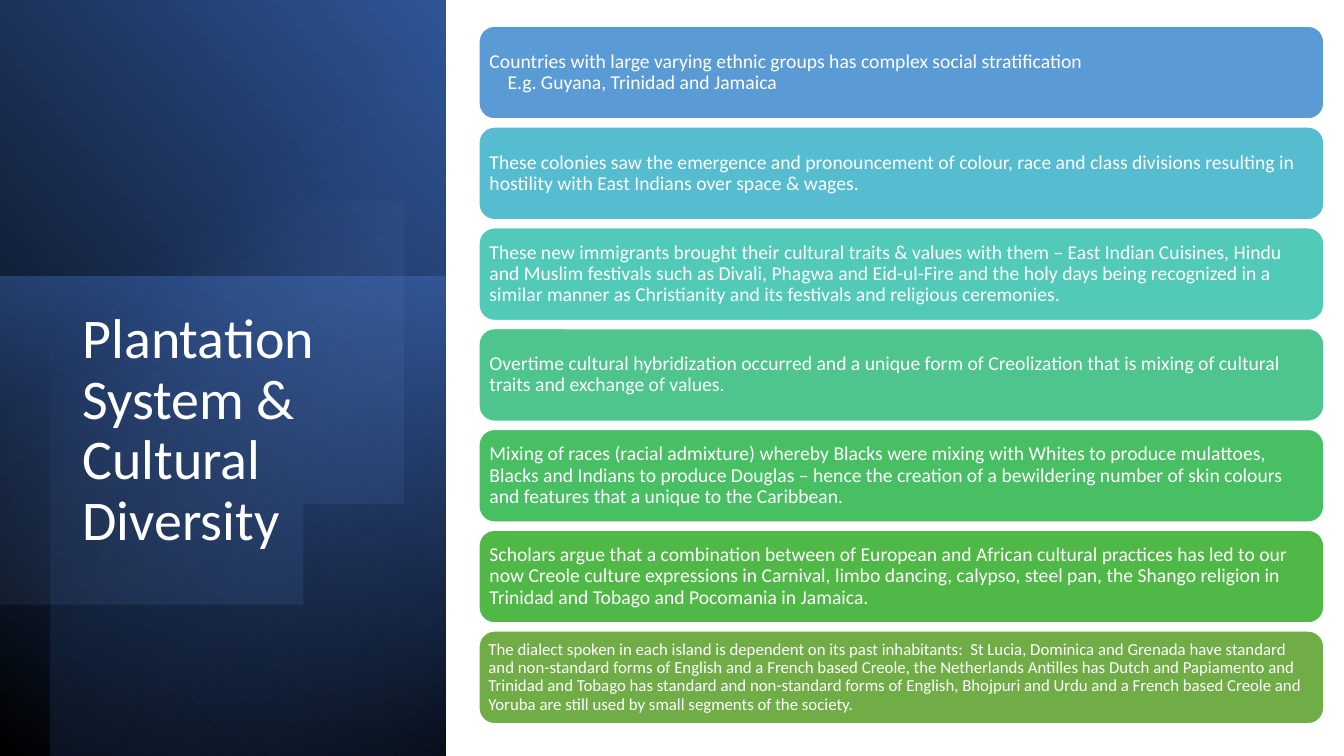
from math import cos, radians, sin

from lxml.etree import SubElement
from pptx import Presentation
from pptx.dml.color import RGBColor
from pptx.enum.shapes import MSO_SHAPE as SHAPE
from pptx.enum.text import MSO_ANCHOR as ANCHOR, PP_ALIGN as ALIGN
from pptx.oxml.ns import qn
from pptx.util import Inches, Pt

FONT = "Calibri"
WHITE = "FFFFFF"


def color(hex_value):
    return RGBColor.from_string(hex_value)


def fade(sp, stops, angle):
    """Fill with a two-stop gradient of (position %, colour, opacity %), no line."""
    sp.shadow.inherit = False
    sp.line.fill.background()
    sp.fill.gradient()
    sp.fill.gradient_angle = 360 - angle
    for stop, (position, hex_value, _) in zip(sp.fill.gradient_stops, stops):
        stop.position = position / 100
        stop.color.rgb = color(hex_value)
    for clr, (_, _, opacity) in zip(sp.fill._xPr.iter(qn("a:srgbClr")), stops):
        if opacity < 100:
            SubElement(clr, qn("a:alpha")).set("val", str(opacity * 1000))


prs = Presentation()
prs.slide_width, prs.slide_height = Inches(13.33), Inches(7.5)
s = prs.slides.add_slide(prs.slide_layouts[6])

# Left panel: box, rotation, flip, gradient stops, gradient angle
panels = [
    ((-1.55, 1.55, 7.52, 4.42), 90, True,
     [(0, "000000", 100), (100, "2F5597", 100)], 310),
    ((-0.17, 2.91, 4.76, 4.42), 270, False,
     [(0, "4472C4", 50), (100, "203864", 0)], 190),
    ((-1.29, 1.79, 7.5, 3.92), 270, True,
     [(0, "000000", 59), (69, "4472C4", 0)], 220),
]
for box, rotation, flipped, stops, angle in panels:
    sp = s.shapes.add_shape(SHAPE.RECTANGLE, *map(Inches, box))
    sp.rotation = rotation
    if flipped:
        sp._element.spPr.find(qn("a:xfrm")).set("flipH", "1")
    fade(sp, stops, angle)

# Disc cut off by the slide's left edge
cx, cy, radius = 1.43, 3.47, 2.63
arc = [(cx + radius * cos(radians(a)), cy + radius * sin(radians(a)))
       for a in range(-122, 123, 2)]
builder = s.shapes.build_freeform(0, 1.26, scale=Inches(1))
builder.add_line_segments(arc + [(0, 5.68)], close=True)
fade(builder.convert_to_shape(), [(39, "8FAADC", 0), (100, "2F5597", 26)], 52)

title = s.shapes.add_textbox(Inches(0.72), Inches(3.03), Inches(3.15), Inches(3.36))
title.text_frame.word_wrap = True
p = title.text_frame.paragraphs[0]
p.line_spacing = 0.9
r = p.add_run()
r.text = "Plantation System & Cultural Diversity"
r.font.name, r.font.size, r.font.color.rgb = FONT, Pt(40), color(WHITE)

# Cards: fill, text size, inset, paragraphs
cards = [
    ("5B9BD5", 14, 0.06, [
        "Countries with large varying ethnic groups has complex social stratification",
        "E.g. Guyana, Trinidad and Jamaica"]),
    ("56BCD0", 14, 0.06, [
        "These colonies saw the emergence and pronouncement of colour, race and class "
        "divisions resulting in hostility with East Indians over space & wages."]),
    ("52CAB8", 14, 0.06, [
        "These new immigrants brought their cultural traits & values with them – East "
        "Indian Cuisines, Hindu and Muslim festivals such as Divali, Phagwa and "
        "Eid-ul-Fire and the holy days being recognized in a similar manner as "
        "Christianity and its festivals and religious ceremonies."]),
    ("4DC58D", 14, 0.06, [
        "Overtime cultural hybridization occurred and a unique form of Creolization "
        "that is mixing of cultural traits and exchange of values."]),
    ("49BF64", 14, 0.06, [
        "Mixing of races (racial admixture) whereby Blacks were mixing with Whites to "
        "produce mulattoes, Blacks and Indians to produce Douglas – hence the creation "
        "of a bewildering number of skin colours and features that a unique to the "
        "Caribbean."]),
    ("50B846", 14, 0.06, [
        "Scholars argue that a combination between of European and African cultural "
        "practices has led to our now Creole culture expressions in Carnival, limbo "
        "dancing, calypso, steel pan, the Shango religion in Trinidad and Tobago and "
        "Pocomania in Jamaica."]),
    ("70AD47", 12, 0.05, [
        "The dialect spoken in each island is dependent on its past inhabitants:  St "
        "Lucia, Dominica and Grenada have standard and non-standard forms of English "
        "and a French based Creole, the Netherlands Antilles has Dutch and Papiamento "
        "and Trinidad and Tobago has standard and non-standard forms of English, "
        "Bhojpuri and Urdu and a French based Creole and Yoruba are still used by "
        "small segments of the society."]),
]
for i, (fill, size, inset, paragraphs) in enumerate(cards):
    sp = s.shapes.add_shape(SHAPE.ROUNDED_RECTANGLE, Inches(4.75), Inches(0.26 + i),
                            Inches(8.38), Inches(0.92))
    sp.shadow.inherit = False
    sp.fill.solid()
    sp.fill.fore_color.rgb = color(fill)
    sp.line.color.rgb = color(WHITE)
    sp.line.width = Pt(1)
    tf = sp.text_frame
    tf.word_wrap = True
    tf.vertical_anchor = ANCHOR.MIDDLE
    for side in ("left", "top", "right", "bottom"):
        setattr(tf, f"margin_{side}", Inches(inset))
    for j, text in enumerate(paragraphs):
        p = tf.add_paragraph() if j else tf.paragraphs[0]
        p.alignment = ALIGN.LEFT
        p.line_spacing = 0.9
        if j:
            p._p.get_or_add_pPr().set("marL", str(Inches(0.18)))
        r = p.add_run()
        r.text = text
        r.font.name, r.font.size, r.font.color.rgb = FONT, Pt(size), color(WHITE)

prs.save("out.pptx")
